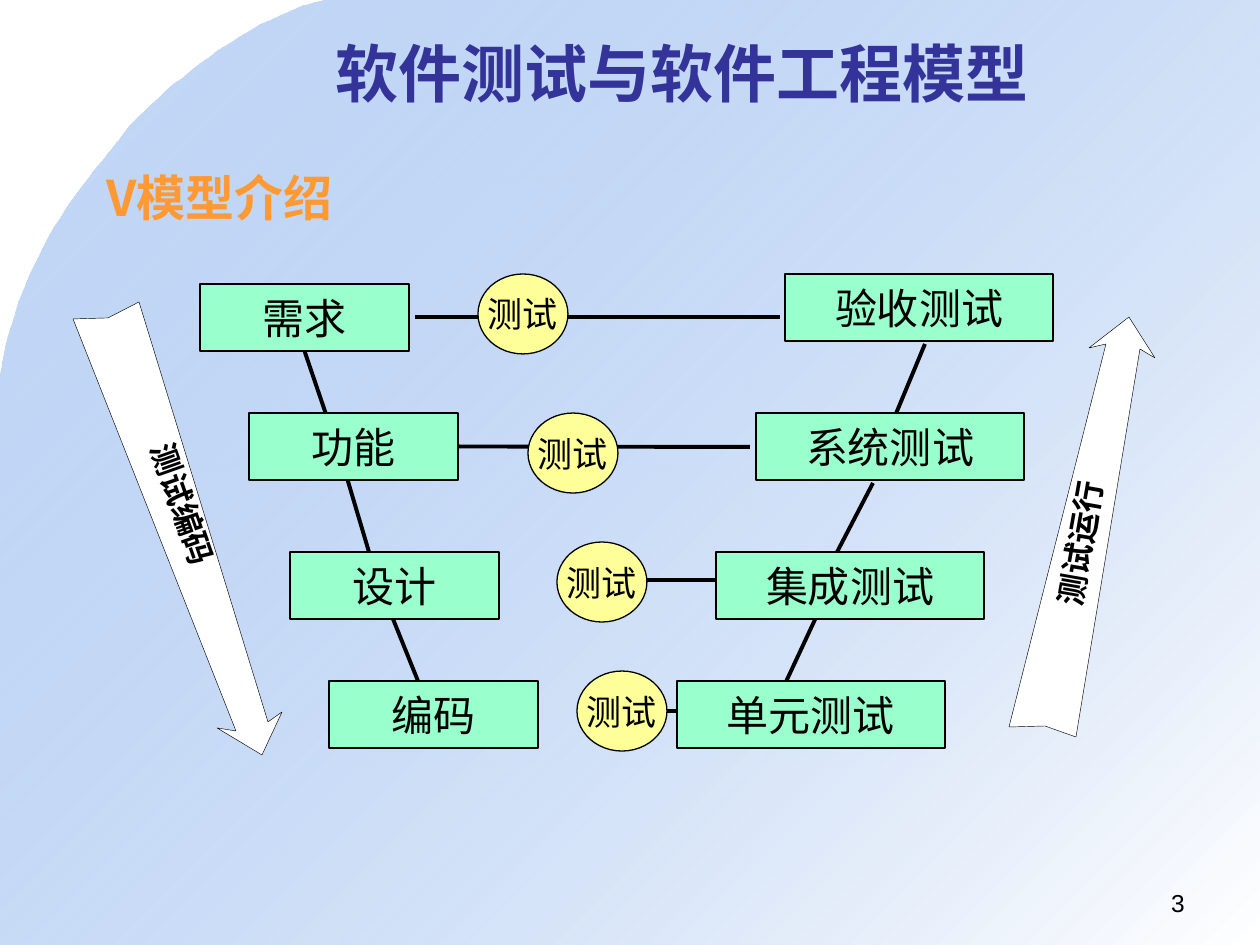
"""Build the V-model slide on software testing and software engineering."""
from lxml.etree import SubElement
from pptx import Presentation
from pptx.dml.color import RGBColor
from pptx.enum.shapes import MSO_CONNECTOR, MSO_SHAPE
from pptx.enum.text import MSO_ANCHOR, PP_ALIGN
from pptx.oxml.ns import qn
from pptx.util import Pt

PX = 914400 / 126
WIDTH, HEIGHT = 1260, 945
BLACK = RGBColor(0x00, 0x00, 0x00)
WHITE = RGBColor(0xFF, 0xFF, 0xFF)
SKY = RGBColor(0x69, 0x9D, 0xE9)
NAVY = RGBColor(0x33, 0x33, 0x99)
ORANGE = RGBColor(0xFF, 0x99, 0x33)
MINT = RGBColor(0x99, 0xFF, 0xCC)
YELLOW = RGBColor(0xFF, 0xFF, 0x99)
LATIN, CJK = "Arial", "Noto Sans CJK SC"

STAGE_SIZE, LEVEL_SIZE, CHECK_SIZE = (209, 67), (268, 67), (90, 80)
STAGES = [("需求", 200, 284), ("功能", 249, 413), ("设计", 290, 552), ("编码", 329, 681)]
LEVELS = [("验收测试", 785, 274), ("系统测试", 756, 413),
          ("集成测试", 716, 552), ("单元测试", 677, 681)]
CHECKS = [("测试", 478, 274), ("测试", 528, 413), ("测试", 557, 542), ("测试", 577, 671)]
STAGE_LINKS = [(304, 351, 329, 423), (347, 478, 369, 552), (389, 609, 418, 681)]
LEVEL_LINKS = [(925, 344, 895, 416), (873, 483, 835, 556), (819, 611, 785, 684)]
CHECK_LINKS = [(415, 317, 780, 317), (458, 447, 750, 447),
               (602, 580, 815, 580), (645, 711, 781, 711)]
CODING_ARROW = [(262, 755), (217, 728), (236, 731), (73, 319),
                (108, 318), (139, 302), (268, 722), (282, 712)]
RUNNING_ARROW = [(1129, 317), (1155, 358), (1140, 349), (1076, 737),
                 (1045, 726), (1009, 727), (1106, 344), (1089, 348)]
CORNER = [((325, 0), (239, 20), (146, 105), (123, 135)),
          ((123, 135), (101, 166), (20, 244), (0, 379))]


def px(*lengths):
    return [round(length * PX) for length in lengths]


def curve(a, b, c, d, steps=24):
    points = []
    for step in range(steps + 1):
        t = step / steps
        u = 1 - t
        points.append(tuple(round(u**3 * p + 3 * u * u * t * q + 3 * u * t * t * r + t**3 * s)
                            for p, q, r, s in zip(a, b, c, d)))
    return points


def add_outline(shapes, points):
    builder = shapes.build_freeform(*points[0], scale=PX)
    builder.add_line_segments(points[1:], close=True)
    outline = builder.convert_to_shape()
    outline.shadow.inherit = False
    return outline


def add_backdrop(shapes):
    edge = [point for segment in CORNER for point in curve(*segment)]
    backdrop = add_outline(shapes, edge + [(0, HEIGHT), (WIDTH, HEIGHT), (WIDTH, 0)])
    backdrop.line.fill.background()
    backdrop.fill.gradient()
    backdrop.fill.gradient_angle = 315
    for stop, color in zip(backdrop.fill.gradient_stops, (SKY, WHITE)):
        stop.color.rgb = color
    sky_stop = backdrop.element.find(".//" + qn("a:srgbClr"))
    SubElement(sky_stop, qn("a:alpha"), val="39000")


def add_arrow(shapes, points):
    arrow = add_outline(shapes, points)
    arrow.fill.solid()
    arrow.fill.fore_color.rgb = WHITE
    arrow.line.color.rgb = BLACK
    arrow.line.width = Pt(0.25)


def write(holder, text, size, font=LATIN, color=BLACK, bold=False, align=PP_ALIGN.CENTER):
    paragraph = holder.text_frame.paragraphs[0]
    paragraph.text = text
    paragraph.alignment = align
    paragraph.font.size = Pt(size)
    paragraph.font.name = font
    paragraph.font.color.rgb = color
    paragraph.font.bold = bold
    return paragraph


def add_label(shapes, box, *style, **options):
    label = shapes.add_textbox(*px(*box))
    label.text_frame.word_wrap = True
    write(label, *style, **options)
    return label


def add_arrow_label(shapes, box, text, rotation):
    label = add_label(shapes, box, text, 18, CJK, bold=True)
    frame = label.text_frame
    frame.margin_left = frame.margin_right = frame.margin_top = frame.margin_bottom = 0
    frame.word_wrap = False
    label.rotation = rotation


def add_link(shapes, ends):
    link = shapes.add_connector(MSO_CONNECTOR.STRAIGHT, *px(*ends))
    link.line.color.rgb = BLACK
    link.line.width = Pt(2.25)
    SubElement(link.element.spPr, qn("a:effectLst"))
    return link


def add_node(shapes, kind, node, size, color, points):
    text, left, top = node
    shape = shapes.add_shape(kind, *px(left, top, *size))
    shape.shadow.inherit = False
    shape.fill.solid()
    shape.fill.fore_color.rgb = color
    shape.line.color.rgb = BLACK
    shape.line.width = Pt(0.75)
    shape.text_frame.word_wrap = False
    shape.text_frame.vertical_anchor = MSO_ANCHOR.MIDDLE
    write(shape, text, points)
    return shape


def main():
    deck = Presentation()
    deck.slide_width, deck.slide_height = px(WIDTH, HEIGHT)
    shapes = deck.slides.add_slide(deck.slide_layouts[6]).shapes

    add_backdrop(shapes)
    title = add_label(shapes, (147, 21, 1071, 102), "软件测试与软件工程模型", 36,
                      color=NAVY, bold=True)
    title.text_frame.vertical_anchor = MSO_ANCHOR.MIDDLE
    heading = add_label(shapes, (94, 168, 980, 73), "V模型介绍", 28, CJK, ORANGE, True,
                        PP_ALIGN.LEFT)
    heading.text_frame.paragraphs[0].line_spacing = 0.9
    heading.text_frame.paragraphs[0].space_before = Pt(7)

    stage_links, _, check_links = [[add_link(shapes, ends) for ends in group]
                                   for group in (STAGE_LINKS, LEVEL_LINKS, CHECK_LINKS)]
    add_arrow(shapes, CODING_ARROW)
    add_arrow_label(shapes, (93, 485, 180, 38), "测试编码", 70.5)
    add_arrow(shapes, RUNNING_ARROW)
    add_arrow_label(shapes, (1017, 524, 126, 38), "测试运行", 280)

    for check in CHECKS:
        add_node(shapes, MSO_SHAPE.OVAL, check, CHECK_SIZE, YELLOW, 20)
    stages = [add_node(shapes, MSO_SHAPE.RECTANGLE, stage, STAGE_SIZE, MINT, 24)
              for stage in STAGES]
    for level in LEVELS:
        add_node(shapes, MSO_SHAPE.RECTANGLE, level, LEVEL_SIZE, MINT, 24)
    stage_links[0].begin_connect(stages[0], 2)
    check_links[1].begin_connect(stages[1], 3)

    add_label(shapes, (903, 882, 294, 44), "3", 14, align=PP_ALIGN.RIGHT)
    deck.save("out.pptx")


if __name__ == "__main__":
    main()
